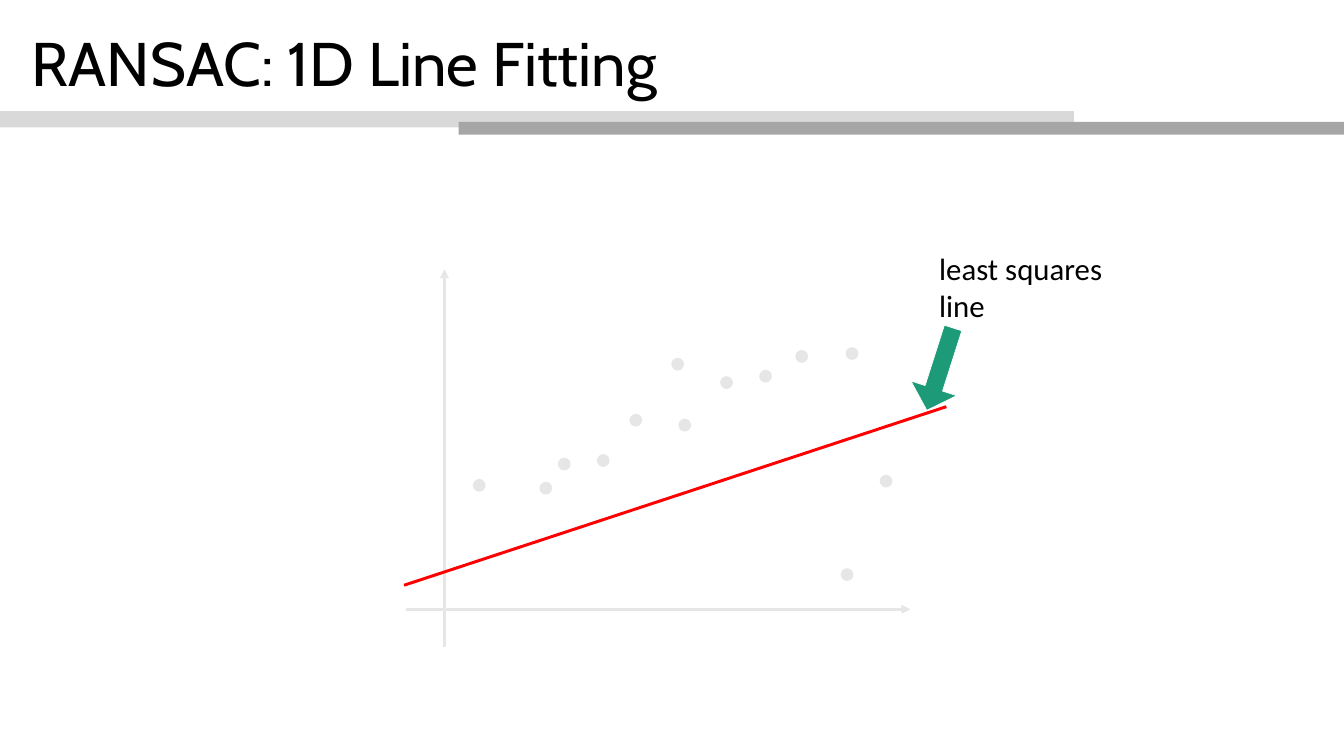
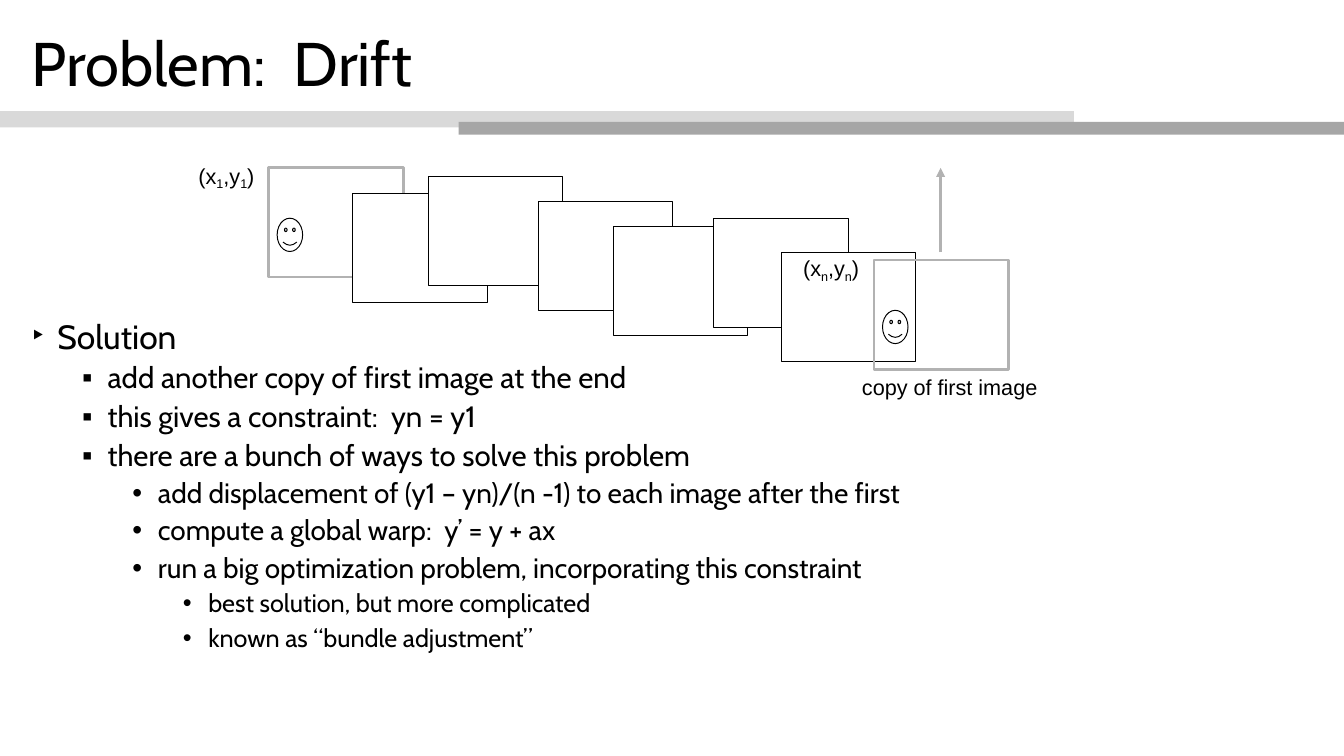
from dataclasses import dataclass

from lxml import etree
from pptx import Presentation
from pptx import util as u
from pptx.dml.color import RGBColor
from pptx.enum import shapes, text
from pptx.oxml import ns

PX = 9144  # EMU per px, 100 px to the inch
SLIDE_W, SLIDE_H = 1896, 1067


@dataclass(frozen=True)
class Theme:
    ink: str = "000000"
    paper: str = "FFFFFF"
    band_light: str = "D9D9D9"
    band_dark: str = "A6A6A6"
    faded: str = "E7E6E6"
    fit: str = "FF0000"
    pointer: str = "1D9A78"
    frame: str = "B2B2B2"
    heading_font: str = "Cabin"
    callout_font: str = "Calibri"
    label_font: str = "Arial"
    title_size: float = 62.6
    callout_size: float = 31.3
    label_size: float = 22
    level_sizes: tuple = (34.1, 29.9, 28.4, 25.6)
    thick: float = 3
    thin: float = 1
    hairline: float = 0.75


T = Theme()
LEVEL_BULLETS = "‣▪••"

DOTS = [(842, 641), (761, 680), (1186, 802), (957, 591), (888, 584),
        (1122, 494), (1241, 670), (667, 676), (1193, 490), (1016, 531),
        (947, 505), (787, 646), (1071, 522)]

SOLUTION = [
    (0, "Solution"),
    (1, "add another copy of first image at the end"),
    (1, "this gives a constraint:  yn = y1"),
    (1, "there are a bunch of ways to solve this problem"),
    (2, "add displacement of (y1 – yn)/(n -1) to each image after the first"),
    (2, "compute a global warp:  y’ = y + ax"),
    (2, "run a big optimization problem, incorporating this constraint"),
    (3, "best solution, but more complicated"),
    (3, "known as “bundle adjustment”"),
]

FRAME_W, FRAME_H = 190, 154
PANORAMA = [(498, 273), (604, 249), (759, 284), (865, 320), (1007, 308), (1102, 356)]


def px(*values):
    return [u.Emu(v * PX) for v in values]


def rgb(color):
    return RGBColor.from_string(color)


def add_shape(slide, kind, box, fill=None, line=None, width=T.thin):
    sp = slide.shapes.add_shape(kind, *px(*box))
    sp.shadow.inherit = False
    if fill:
        sp.fill.solid()
        sp.fill.fore_color.rgb = rgb(fill)
    else:
        sp.fill.background()
    if line:
        sp.line.color.rgb = rgb(line)
        sp.line.width = u.Pt(width)
    else:
        sp.line.fill.background()
    return sp


def add_line(slide, start, end, color, arrow=False):
    c = slide.shapes.add_connector(shapes.MSO_CONNECTOR.STRAIGHT, *px(*start, *end))
    c.line.color.rgb = rgb(color)
    c.line.width = u.Pt(T.thick)
    if arrow:
        etree.SubElement(c.line._get_or_add_ln(), ns.qn("a:tailEnd"), type="triangle")
    etree.SubElement(c._element.spPr, ns.qn("a:effectLst"))
    return c


def add_text_frame(slide, box, inset=None, wrap=True):
    tf = slide.shapes.add_textbox(*px(*box)).text_frame
    tf.word_wrap = wrap
    if inset is not None:
        tf.margin_left = tf.margin_right = tf.margin_top = tf.margin_bottom = px(inset)[0]
    return tf


def style_runs(p, font, size):
    for r in p.runs:
        r.font.name = font
        r.font.size = u.Pt(size)
        r.font.color.rgb = rgb(T.ink)


def set_bullet(p, char, indent, hanging):
    pPr = p._p.get_or_add_pPr()
    pPr.set("marL", str(indent * PX))
    pPr.set("indent", str(-hanging * PX))
    etree.SubElement(pPr, ns.qn("a:buFont"), typeface=T.label_font)
    etree.SubElement(pPr, ns.qn("a:buChar"), char=char)


def add_titled_slide(prs, title):
    """Add a blank slide with the two header bands and its title."""
    slide = prs.slides.add_slide(prs.slide_layouts[6])
    rect = shapes.MSO_SHAPE.RECTANGLE
    add_shape(slide, rect, (0, 157, 1515, 23), T.band_light)
    add_shape(slide, rect, (647, 172, SLIDE_W - 647, 18), T.band_dark)
    tf = add_text_frame(slide, (35, 22, 1823, 144))
    tf.vertical_anchor = text.MSO_ANCHOR.MIDDLE
    tf.text = title
    p = tf.paragraphs[0]
    p.line_spacing = 0.9
    style_runs(p, T.heading_font, T.title_size)
    return slide


def add_scatter(slide, box):
    """Draw axes that cross near the lower left corner, and the data points."""
    x, y, w, h = box
    axis_x, axis_y = x + 54, y + h - 53
    add_line(slide, (axis_x, y + h), (axis_x, y), T.faded, arrow=True)
    add_line(slide, (x, axis_y), (x + w, axis_y), T.faded, arrow=True)
    for dot_x, dot_y in DOTS:
        add_shape(slide, shapes.MSO_SHAPE.OVAL,
                  (x + dot_x - 573, y + dot_y - 380, 18, 18), T.faded)


def add_fit_callout(slide, box):
    """Draw the fitted line along the lower part of the box, with its label."""
    x, y, w, h = box
    add_line(slide, (x, y + h), (x + w, y + 226), T.fit)
    tf = add_text_frame(slide, (x + w - 20, y, 251, 115), wrap=False)
    tf.text = "least squares\nline"
    for p in tf.paragraphs:
        style_runs(p, T.callout_font, T.callout_size)
    sp = add_shape(slide, shapes.MSO_SHAPE.DOWN_ARROW,
                   (x + w - 43, y + 112, 68, 122), T.pointer, T.paper, T.hairline)
    sp.adjustments[0], sp.adjustments[1] = 0.38, 0.48
    sp.rotation = 17.7


def add_outline(slide, box):
    add_bullets = add_text_frame(slide, box)
    for i, (level, line) in enumerate(SOLUTION):
        p = add_bullets.paragraphs[0] if i == 0 else add_bullets.add_paragraph()
        p.text = line
        p.level = level
        set_bullet(p, LEVEL_BULLETS[level], 36 + 71 * level, 36)
        p.line_spacing = 0.9
        p.space_before = u.Pt(7.1 if i else 0)
        style_runs(p, T.heading_font, T.level_sizes[level])


def add_frame(slide, x, y, fill=T.paper, line=T.ink, width=T.thin):
    add_shape(slide, shapes.MSO_SHAPE.RECTANGLE, (x, y, FRAME_W, FRAME_H), fill, line, width)


def add_face_frame(slide, x, y, fill=None):
    """Draw the thick frame of the first image with the face in it."""
    add_frame(slide, x, y, fill, T.frame, T.thick)
    add_shape(slide, shapes.MSO_SHAPE.SMILEY_FACE, (x + 12, y + 71, 36, 47), T.paper, T.ink)


def add_label(slide, box, *parts):
    """Write the parts in one line; every second part is a subscript."""
    p = add_text_frame(slide, box, inset=7).paragraphs[0]
    for i, part in enumerate(parts):
        r = p.add_run()
        r.text = part
        if i % 2:
            r.font._element.set("baseline", "-20000")
    style_runs(p, T.label_font, T.label_size)


def add_panorama(slide, box):
    """Draw the drifting frames from the first image to its copy."""
    x, y, w, h = box
    copy_x, copy_y = x + w - FRAME_W, y + h - FRAME_H
    add_face_frame(slide, x, y, T.paper)
    for frame_x, frame_y in PANORAMA:
        add_frame(slide, x + frame_x - 379, y + frame_y - 237)
    add_face_frame(slide, copy_x, copy_y)
    add_line(slide, (copy_x + 94, copy_y - 11), (copy_x + 94, y), T.frame, arrow=True)
    add_label(slide, (x - 106, y - 14, 130, 51), "(x", "1", ",y", "1", ")")
    add_label(slide, (copy_x - 107, copy_y - 14, 130, 51), "(x", "n", ",y", "n", ")")
    add_label(slide, (copy_x - 24, y + h, 273, 51), "copy of first image")


def build_line_fitting(prs):
    slide = add_titled_slide(prs, "RANSAC: 1D Line Fitting")
    add_scatter(slide, (573, 380, 711, 533))
    add_fit_callout(slide, (570, 348, 765, 478))


def build_drift(prs):
    slide = add_titled_slide(prs, "Problem:  Drift")
    add_outline(slide, (35, 447, 1826, 598))
    add_panorama(slide, (379, 237, 1044, 284))


def main():
    prs = Presentation()
    prs.slide_width, prs.slide_height = px(SLIDE_W, SLIDE_H)
    build_line_fitting(prs)
    build_drift(prs)
    prs.save("out.pptx")


if __name__ == "__main__":
    main()
